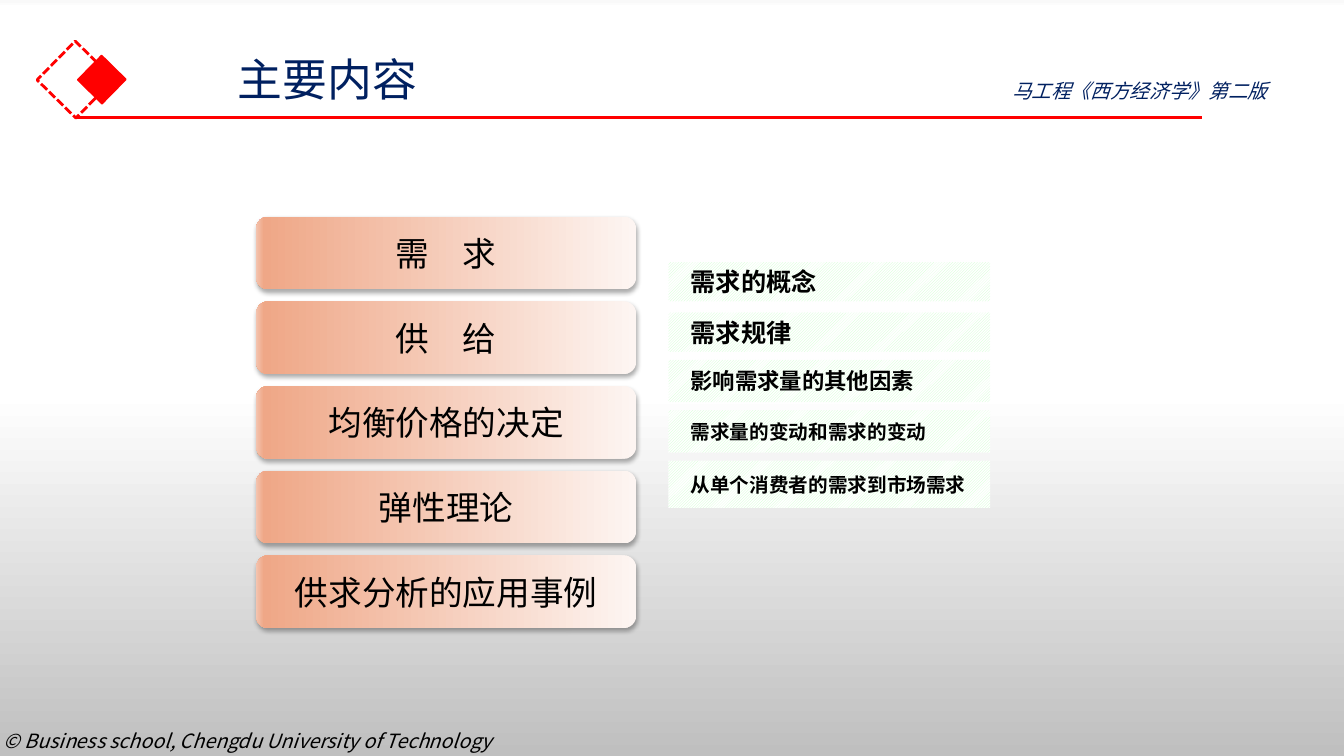
"""Build the chapter contents slide: five topics and the sections of the first."""
from dataclasses import dataclass

from lxml import etree
from pptx import Presentation
from pptx.dml.color import RGBColor
from pptx.enum.dml import MSO_LINE, MSO_PATTERN
from pptx.enum.shapes import MSO_CONNECTOR, MSO_SHAPE
from pptx.enum.text import MSO_ANCHOR, PP_ALIGN
from pptx.oxml.ns import qn
from pptx.util import Inches, Pt

TITLE = "主要内容"
BOOK = "马工程《西方经济学》第二版"
COPYRIGHT = "© Business school, Chengdu University of Technology"
TOPICS = ["需　求", "供　给", "均衡价格的决定", "弹性理论", "供求分析的应用事例"]
SECTIONS = [
    ("需求的概念", 2.6, 0.39, 18),
    ("需求规律", 3.1, 0.39, 18),
    ("影响需求量的其他因素", 3.57, 0.42, 16),
    ("需求量的变动和需求的变动", 4.07, 0.42, 14),
    ("从单个消费者的需求到市场需求", 4.57, 0.47, 14),
]

TITLE_ONLY = 5
RECTANGLE, ROUNDED = MSO_SHAPE.RECTANGLE, MSO_SHAPE.ROUNDED_RECTANGLE
DASHED, STRAIGHT = MSO_LINE.SQUARE_DOT, MSO_CONNECTOR.STRAIGHT
STRIPES = MSO_PATTERN.LIGHT_UPWARD_DIAGONAL
TOP, MIDDLE = MSO_ANCHOR.TOP, MSO_ANCHOR.MIDDLE
LEFT, CENTER, JUSTIFY = PP_ALIGN.LEFT, PP_ALIGN.CENTER, PP_ALIGN.JUSTIFY


@dataclass(frozen=True)
class Theme:
    font: str = "Noto Sans CJK SC"
    section_font: str = "Calibri"
    title_size: int = 32
    topic_size: int = 24
    small_size: int = 14
    ink: str = "000000"
    navy: str = "002060"
    red: str = "FF0000"
    stripe: str = "CCFFCC"
    paper: str = "FFFFFF"
    background: tuple = ((0, "F9F9F9"), (1, "FFFFFF"), (52, "FFFFFF"), (100, "BFBFBF"))
    topic_fill: tuple = ((0, "FDF5F2"), (98, "EFA787"), (100, "F4C4AF"))


THEME = Theme()


def color(value):
    return RGBColor.from_string(value)


def set_gradient(fill, element, stops, angle):
    fill.gradient()
    fill.gradient_angle = angle
    stop_list = next(element.iter(qn("a:gsLst")))
    for stop in list(stop_list):
        stop_list.remove(stop)
    for position, value in stops:
        stop = etree.SubElement(stop_list, qn("a:gs"), pos=str(position * 1000))
        etree.SubElement(stop, qn("a:srgbClr"), val=value)


def add_soft_shadow(shape):
    effects = etree.SubElement(shape.element.spPr, qn("a:effectLst"))
    shadow = etree.SubElement(
        effects, qn("a:outerShdw"), blurRad=str(Pt(3.5)), dist=str(Pt(2.2)),
        dir="5400000", algn="t", rotWithShape="0")
    tint = etree.SubElement(shadow, qn("a:srgbClr"), val=THEME.ink)
    etree.SubElement(tint, qn("a:alpha"), val="32000")


def write(shape, text, size, ink=THEME.ink, font=THEME.font, align=LEFT,
          anchor=TOP, bold=False, italic=False, wrap=True):
    frame = shape.text_frame
    frame.word_wrap = wrap
    frame.vertical_anchor = anchor
    frame.text = text
    paragraph = frame.paragraphs[0]
    paragraph.alignment = align
    paragraph.font.name = font
    paragraph.font.size = Pt(size)
    paragraph.font.bold = bold
    paragraph.font.italic = italic
    paragraph.font.color.rgb = color(ink)


def add_box(slide, kind, left, top, width, height):
    shape = slide.shapes.add_shape(
        kind, Inches(left), Inches(top), Inches(width), Inches(height))
    shape.line.fill.background()
    return shape


def add_label(slide, left, top, width, height, text, **style):
    label = slide.shapes.add_textbox(
        Inches(left), Inches(top), Inches(width), Inches(height))
    write(label, text, THEME.small_size, italic=True, **style)


def add_emblem(slide):
    for left, top, side, weight, solid in [
            (0.48, 0.52, 0.54, 2, False), (0.84, 0.62, 0.34, 1, True)]:
        diamond = add_box(slide, RECTANGLE, left, top, side, side)
        diamond.shadow.inherit = False
        diamond.rotation = 314.5
        diamond.line.color.rgb = color(THEME.red)
        diamond.line.width = Pt(weight)
        if solid:
            diamond.fill.solid()
            diamond.fill.fore_color.rgb = color(THEME.red)
        else:
            diamond.fill.background()
            diamond.line.dash_style = DASHED
    rule = slide.shapes.add_connector(
        STRAIGHT, Inches(0.75), Inches(1.17), Inches(11.92), Inches(1.17))
    rule.line.color.rgb = color(THEME.red)
    rule.line.width = Pt(2.25)
    etree.SubElement(rule.element.spPr, qn("a:effectLst"))


def add_topics(slide):
    first_top, pitch = 2.15, 0.84
    for index, topic in enumerate(TOPICS):
        bar = add_box(slide, ROUNDED, 2.54, first_top + index * pitch, 3.77, 0.72)
        set_gradient(bar.fill, bar.element, THEME.topic_fill, 180)
        add_soft_shadow(bar)
        write(bar, topic, THEME.topic_size, align=CENTER, anchor=MIDDLE)


def add_sections(slide):
    for text, top, height, size in SECTIONS:
        strip = add_box(slide, RECTANGLE, 6.63, top, 3.19, height)
        strip.shadow.inherit = False
        strip.fill.patterned()
        strip.fill.pattern = STRIPES
        strip.fill.fore_color.rgb = color(THEME.stripe)
        strip.fill.back_color.rgb = color(THEME.paper)
        frame = strip.text_frame
        frame.margin_left = frame.margin_right = Inches(0.22)
        write(strip, text, size, font=THEME.section_font, align=JUSTIFY,
              anchor=MIDDLE, bold=True)


def main():
    presentation = Presentation()
    presentation.slide_width = Inches(13.33)
    presentation.slide_height = Inches(7.5)
    slide = presentation.slides.add_slide(presentation.slide_layouts[TITLE_ONLY])
    set_gradient(slide.background.fill, slide.element, THEME.background, 270)

    title = slide.shapes.title
    title.left, title.top = Inches(2.26), Inches(0.46)
    title.width, title.height = Inches(4.96), Inches(0.64)
    write(title, TITLE, THEME.title_size, ink=THEME.navy)

    add_emblem(slide)
    add_topics(slide)
    add_sections(slide)
    add_label(slide, 9.94, 0.73, 3.24, 0.34, BOOK, ink=THEME.navy)
    add_label(slide, -0.06, 7.18, 5.31, 0.34, COPYRIGHT, wrap=False)
    presentation.save("out.pptx")


if __name__ == "__main__":
    main()
